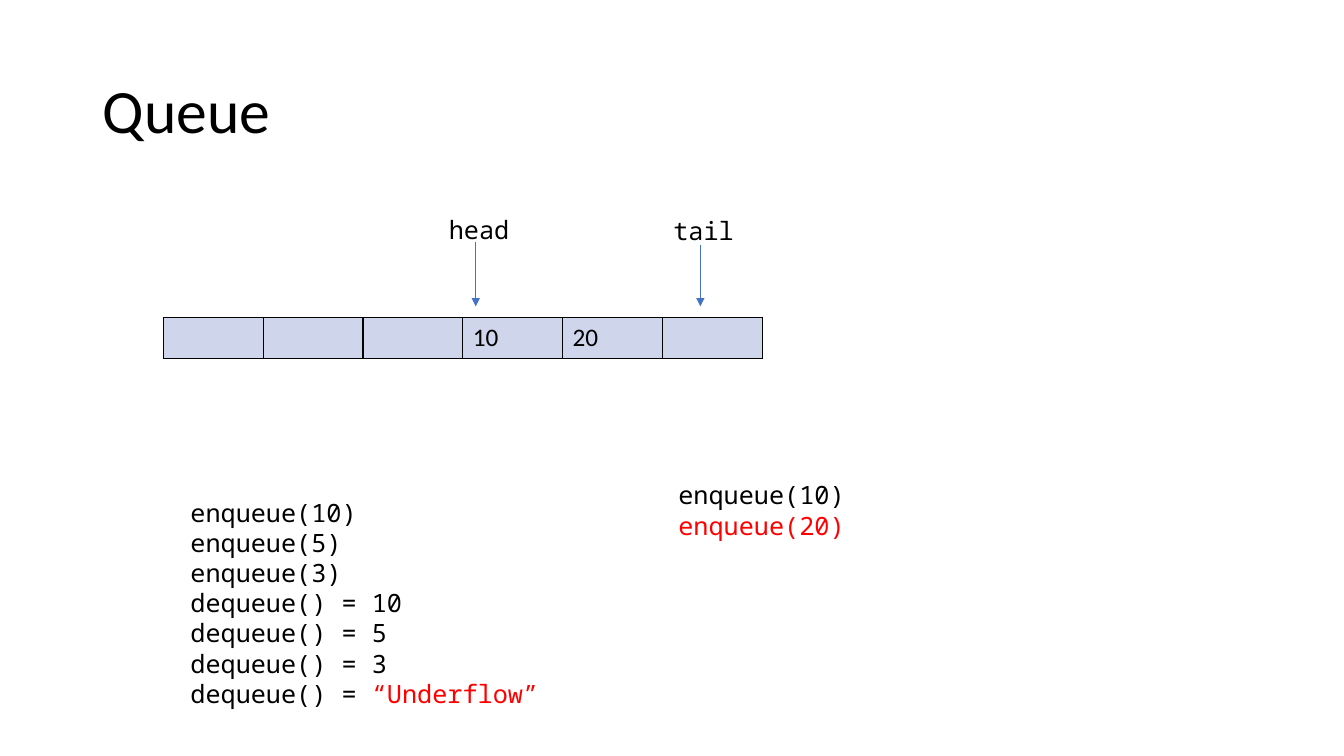
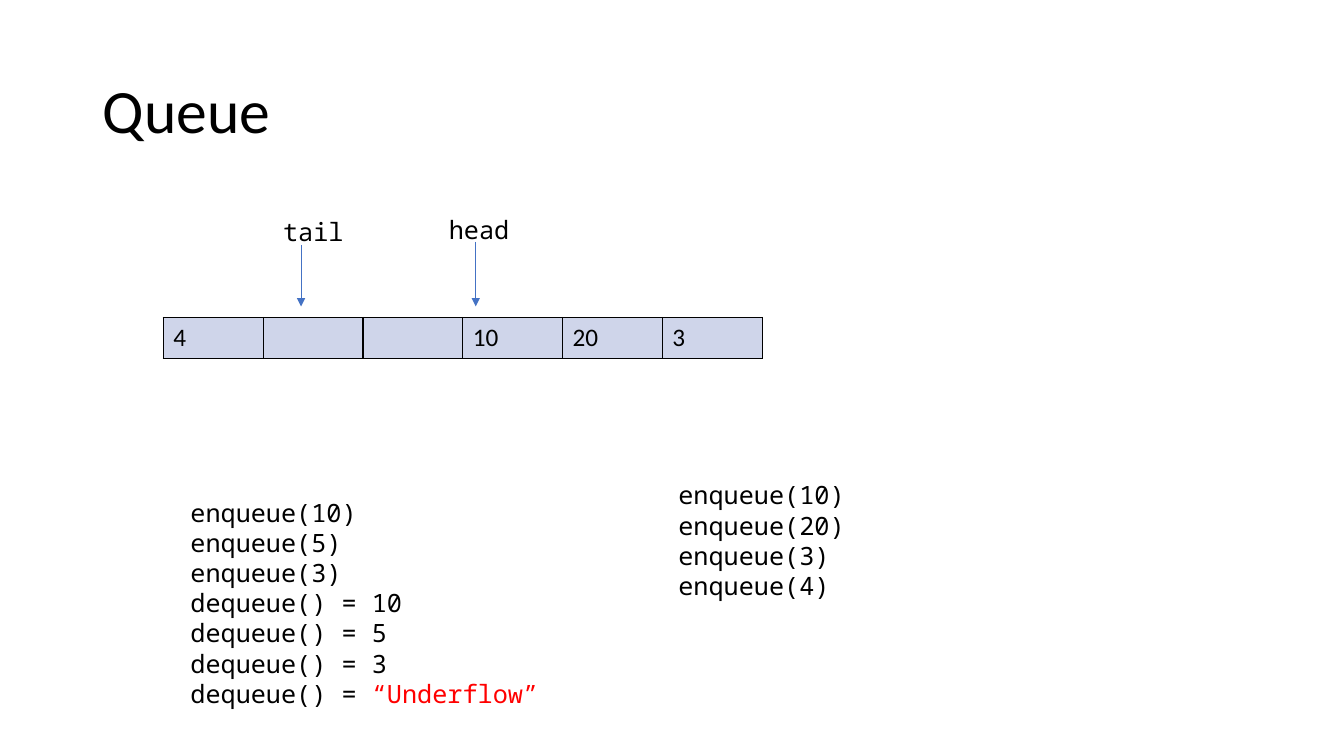
import pptx
import pptx.dml.color
import pptx.enum.shapes
import pptx.enum.text
import pptx.oxml
import pptx.oxml.ns
import pptx.util
from lxml import etree

BLACK = pptx.dml.color.RGBColor(0x00, 0x00, 0x00)
RED = pptx.dml.color.RGBColor(0xFF, 0x00, 0x00)
BLUE = pptx.dml.color.RGBColor(0x44, 0x72, 0xC4)
PALE_BLUE = pptx.dml.color.RGBColor(0xCF, 0xD5, 0xEA)
SANS = "Calibri"
MONO = "Noto Sans Mono"
Inches = pptx.util.Inches

QUEUE_LEFT, QUEUE_TOP = 1.62, 3.15
COLUMN, ROW = 0.99, 0.41
ARROW_END = 3.04
LABEL_WIDTH, LINE_HEIGHT = 1.01, 0.3
CODE_WIDTH, CODE_PADDING = 3.7, 0.1

HISTORY = [
    *[[(call, BLACK)] for call in (
        "enqueue(10)", "enqueue(5)", "enqueue(3)",
        "dequeue() = 10", "dequeue() = 5", "dequeue() = 3")],
    [("dequeue() = ", BLACK), ("“Underflow”", RED)],
]

STATES = [
    {
        "cells": ["", "", "", "10", "20", ""],
        "tail": (5.38, 5.01, 2.09),
        "calls": [[("enqueue(10)", BLACK)], [("enqueue(20)", RED)]],
    },
    {
        "cells": ["4", "", "", "10", "20", "3"],
        "tail": (1.38, 1.1, 2.1),
        "calls": [[(f"enqueue({value})", BLACK)] for value in (10, 20, 3, 4)],
    },
]


def add_runs(paragraph, runs, font_name, size):
    for text, color in runs:
        run = paragraph.add_run()
        run.text = text
        run.font.name = font_name
        run.font.size = pptx.util.Pt(size)
        run.font.color.rgb = color


def add_text(slide, left, top, width, height, lines, font_name=MONO, size=18):
    shape = slide.shapes.add_textbox(
        Inches(left), Inches(top), Inches(width), Inches(height))
    frame = shape.text_frame
    frame.word_wrap = True
    for index, runs in enumerate(lines):
        paragraph = frame.add_paragraph() if index else frame.paragraphs[0]
        add_runs(paragraph, runs, font_name, size)
    return frame


presentation = pptx.Presentation()
presentation.slide_width = Inches(13.33)
presentation.slide_height = Inches(7.5)

for state in STATES:
    slide = presentation.slides.add_slide(presentation.slide_layouts[6])

    title = add_text(slide, 0.92, 0.4, 11.5, 1.45, [[("Queue", BLACK)]], SANS, 44)
    title.vertical_anchor = pptx.enum.text.MSO_ANCHOR.MIDDLE
    title.paragraphs[0].line_spacing = 0.9

    cells = state["cells"]
    table = slide.shapes.add_table(
        1, len(cells), Inches(QUEUE_LEFT), Inches(QUEUE_TOP),
        Inches(COLUMN * len(cells)), Inches(ROW)).table
    table.first_row = False
    table.horz_banding = False
    for index, value in enumerate(cells):
        cell = table.cell(0, index)
        properties = cell._tc.get_or_add_tcPr()
        for side in ("lnL", "lnR", "lnT", "lnB"):
            properties.append(pptx.oxml.parse_xml(
                f'<a:{side} {pptx.oxml.ns.nsdecls("a")} w="12700">'
                f'<a:solidFill><a:srgbClr val="{BLACK}"/></a:solidFill></a:{side}>'))
        cell.fill.solid()
        cell.fill.fore_color.rgb = PALE_BLUE
        if value:
            add_runs(cell.text_frame.paragraphs[0], [(value, BLACK)], SANS, 18)

    pointers = [("head", (3.13, 2.76, 2.08), 2.4), ("tail", state["tail"], 2.43)]
    for name, (arrow_column, label_column, label_top), arrow_top in pointers:
        arrow_x = Inches(QUEUE_LEFT + arrow_column * COLUMN)
        arrow = slide.shapes.add_connector(
            pptx.enum.shapes.MSO_CONNECTOR.STRAIGHT,
            arrow_x, Inches(arrow_top), arrow_x, Inches(ARROW_END))
        arrow.line.color.rgb = BLUE
        arrow.line.width = pptx.util.Pt(0.5)
        etree.SubElement(
            arrow.line._get_or_add_ln(), pptx.oxml.ns.qn("a:tailEnd"), type="triangle")
        etree.SubElement(arrow._element.spPr, pptx.oxml.ns.qn("a:effectLst"))
        add_text(slide, QUEUE_LEFT + label_column * COLUMN, label_top,
                 LABEL_WIDTH, LINE_HEIGHT + CODE_PADDING, [[(name, BLACK)]])

    for left, top, lines in ((1.79, 4.88, HISTORY), (6.63, 4.71, state["calls"])):
        add_text(slide, left, top, CODE_WIDTH,
                 LINE_HEIGHT * len(lines) + CODE_PADDING, lines)

presentation.save("out.pptx")
